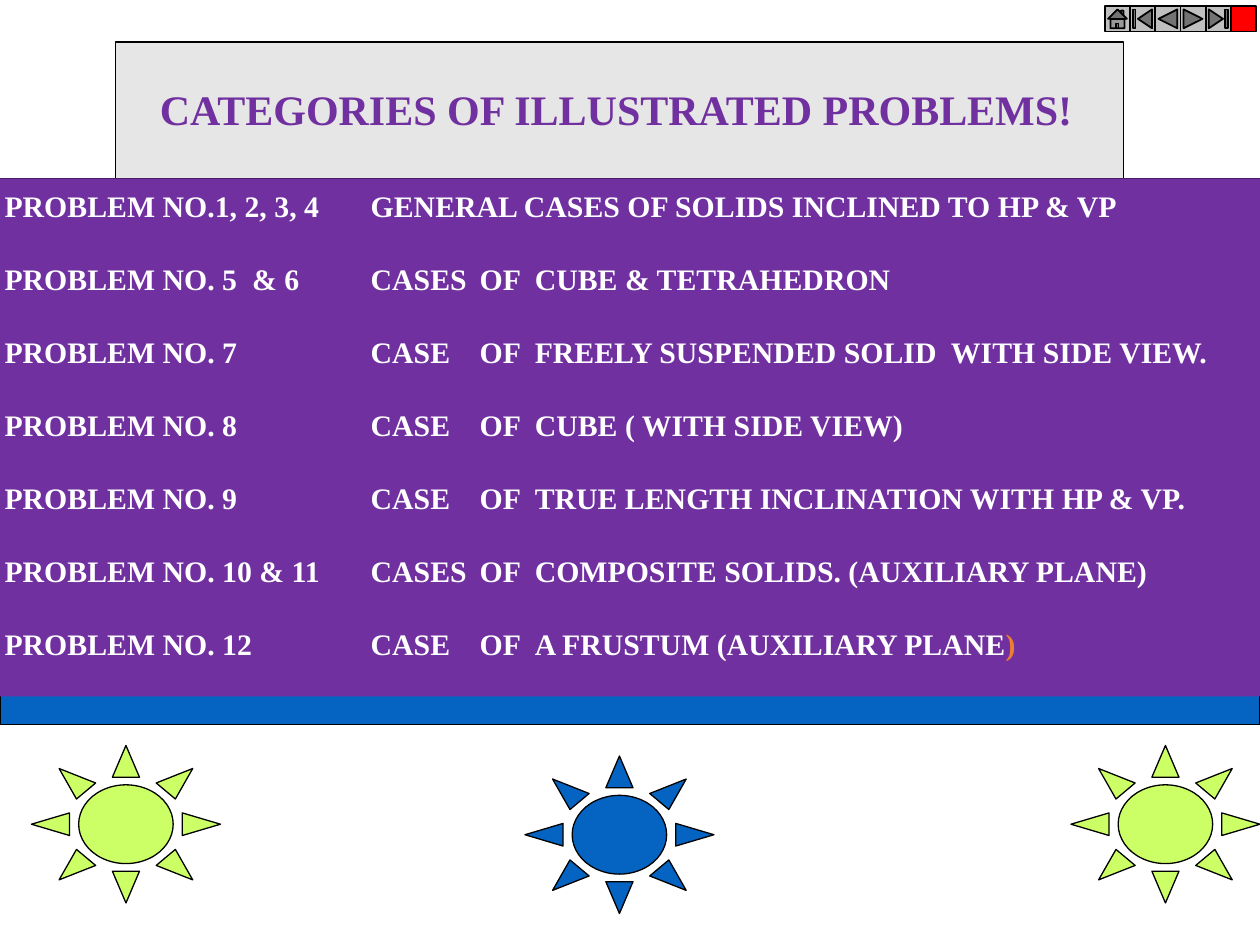
from dataclasses import dataclass

from lxml import etree
from pptx import Presentation
from pptx.dml.color import RGBColor
from pptx.enum.shapes import MSO_SHAPE
from pptx.enum.text import MSO_ANCHOR, PP_ALIGN
from pptx.oxml.ns import qn
from pptx.util import Pt

RECT, SUN = MSO_SHAPE.RECTANGLE, MSO_SHAPE.SUN
BUTTONS = (
    MSO_SHAPE.ACTION_BUTTON_HOME,
    MSO_SHAPE.ACTION_BUTTON_BEGINNING,
    MSO_SHAPE.ACTION_BUTTON_BACK_OR_PREVIOUS,
    MSO_SHAPE.ACTION_BUTTON_FORWARD_OR_NEXT,
    MSO_SHAPE.ACTION_BUTTON_END,
    MSO_SHAPE.ACTION_BUTTON_CUSTOM,
)
LEFT, TOP = PP_ALIGN.LEFT, MSO_ANCHOR.TOP


@dataclass(frozen=True)
class Theme:
    font: str = "Times New Roman"
    title: float = 24
    body: float = 17
    purple: str = "7030A0"
    blue: str = "0563C1"
    grey: str = "E7E6E6"
    lime: str = "CCFF66"
    silver: str = "C0C0C0"
    red: str = "FF0000"
    orange: str = "ED7D31"
    white: str = "FFFFFF"
    black: str = "000000"


THEME = Theme()
TABS = (209.25, 271.5, 303)
ROW_GAP = 21.3
ROWS = (
    "PROBLEM NO.1, 2, 3, 4\tGENERAL CASES OF SOLIDS INCLINED TO HP & VP",
    "PROBLEM NO. 5  & 6\tCASES\tOF\tCUBE & TETRAHEDRON",
    "PROBLEM NO. 7\tCASE\tOF\tFREELY SUSPENDED SOLID  WITH SIDE VIEW.",
    "PROBLEM NO. 8\tCASE\tOF\tCUBE ( WITH SIDE VIEW)",
    "PROBLEM NO. 9\tCASE\tOF\tTRUE LENGTH INCLINATION WITH HP & VP.",
    "PROBLEM NO. 10 & 11\tCASES\tOF\tCOMPOSITE SOLIDS. (AUXILIARY PLANE)",
    "PROBLEM NO. 12\tCASE\tOF\tA FRUSTUM (AUXILIARY PLANE",
)


def add_shape(shapes, kind, box, fill, line=0.75):
    """Draw a filled shape; a line width of 0 means no outline."""
    shape = shapes.add_shape(kind, *map(Pt, box))
    shape.shadow.inherit = False
    shape.fill.solid()
    shape.fill.fore_color.rgb = RGBColor.from_string(fill)
    if line:
        shape.line.width = Pt(line)
        shape.line.color.rgb = RGBColor.from_string(THEME.black)
    else:
        shape.line.fill.background()
    return shape


def add_run(para, text, size, color):
    run = para.add_run()
    run.text = text
    font = run.font
    font.name, font.size, font.bold = THEME.font, Pt(size), True
    font.color.rgb = RGBColor.from_string(color)


def set_frame(frame):
    frame.word_wrap = True
    frame.vertical_anchor = TOP
    frame.margin_top = Pt(5.5)


def set_tabs(para):
    stops = etree.SubElement(para._p.get_or_add_pPr(), qn("a:tabLst"))
    for stop in TABS:
        etree.SubElement(stops, qn("a:tab"), pos=str(Pt(stop)), algn="l")


def add_title(shapes, text):
    frame = shapes.add_textbox(Pt(84.25), Pt(42), Pt(541), Pt(36)).text_frame
    set_frame(frame)
    add_run(frame.paragraphs[0], text, THEME.title, THEME.purple)


def add_list(shapes):
    panel = add_shape(shapes, RECT, (-4.5, 102, 724.5, 296), THEME.purple, 0)
    frame = panel.text_frame
    set_frame(frame)
    for num, row in enumerate(ROWS):
        para = frame.add_paragraph() if num else frame.paragraphs[0]
        para.alignment = LEFT
        para.space_after = Pt(ROW_GAP)
        set_tabs(para)
        add_run(para, row, THEME.body, THEME.white)
    add_run(para, ")", THEME.body, THEME.orange)


def add_suns(shapes):
    for left, top, fill in (
        (18, 426, THEME.lime),
        (300, 432, THEME.blue),
        (612, 426, THEME.lime),
    ):
        add_shape(shapes, SUN, (left, top, 108, 90), fill)


def add_buttons(shapes):
    group = shapes.add_group_shape().shapes
    side = 14.4
    for num, kind in enumerate(BUTTONS):
        last = num == len(BUTTONS) - 1
        fill = THEME.red if last else THEME.silver
        add_shape(group, kind, (631.4 + num * side, 3.6, side, side), fill, 1)


def main():
    deck = Presentation()
    deck.slide_width, deck.slide_height = Pt(720), Pt(540)
    shapes = deck.slides.add_slide(deck.slide_layouts[6]).shapes
    add_shape(shapes, RECT, (66, 24, 576, 78), THEME.grey)
    add_shape(shapes, RECT, (0, 102, 720, 312), THEME.blue)
    add_list(shapes)
    add_title(shapes, "CATEGORIES OF ILLUSTRATED PROBLEMS!")
    add_suns(shapes)
    add_buttons(shapes)
    deck.save("out.pptx")


if __name__ == "__main__":
    main()
